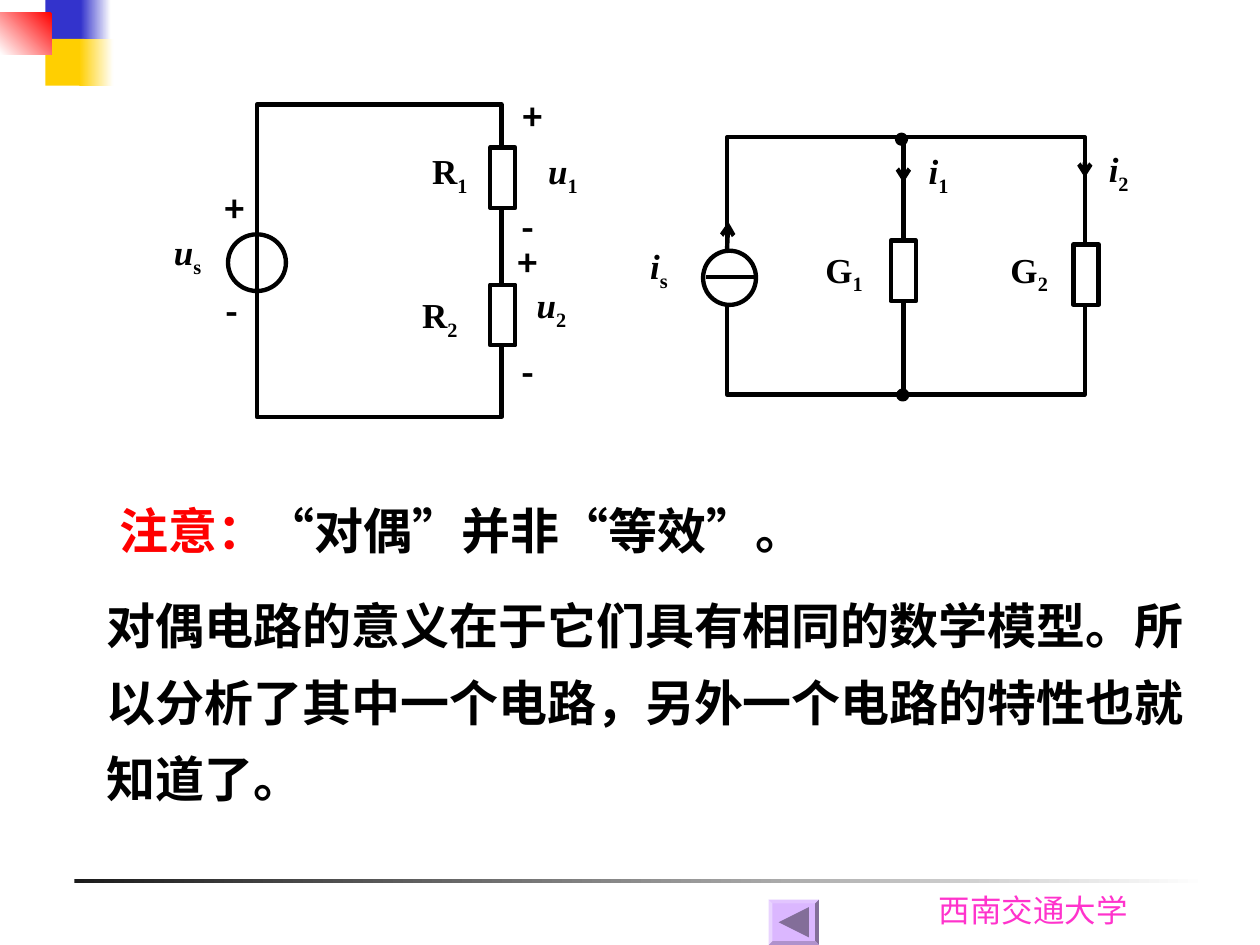
from lxml import etree
from pptx import Presentation
from pptx.dml.color import RGBColor
from pptx.enum.shapes import MSO_CONNECTOR, MSO_SHAPE
from pptx.enum.text import MSO_ANCHOR, MSO_AUTO_SIZE, PP_ALIGN
from pptx.oxml.ns import qn
from pptx.util import Inches, Pt

RECT, OVAL = MSO_SHAPE.RECTANGLE, MSO_SHAPE.OVAL
STRAIGHT = MSO_CONNECTOR.STRAIGHT
MIDDLE, TOP = MSO_ANCHOR.MIDDLE, MSO_ANCHOR.TOP
CENTER, LEFT = PP_ALIGN.CENTER, PP_ALIGN.LEFT
GROW = MSO_AUTO_SIZE.SHAPE_TO_FIT_TEXT

BLACK, WHITE, RED = "000000", "FFFFFF", "FF0000"
SANS, SERIF = "Noto Sans CJK SC", "Times New Roman"
WIRE = Pt(2.5)


def color(hex_value):
    return RGBColor.from_string(hex_value)


def paint(shape, fill=None, line=None):
    shape.shadow.inherit = False
    if fill:
        shape.fill.solid()
        shape.fill.fore_color.rgb = color(fill)
    else:
        shape.fill.background()
    if line:
        shape.line.color.rgb = color(line)
        shape.line.width = WIRE
    else:
        shape.line.fill.background()


def add_block(slide, box, fill=None, line=None, kind=RECT):
    block = slide.shapes.add_shape(kind, *map(Inches, box))
    paint(block, fill, line)
    return block


def add_fade(slide, box, start, angle=0):
    """Rectangle that fades from a colour to white."""
    fill = add_block(slide, box).fill
    fill.gradient()
    fill.gradient_angle = angle
    for stop, shade in zip(fill.gradient_stops, (start, WHITE)):
        stop.color.rgb = color(shade)


def add_wire(slide, x1, y1, x2, y2, arrow=False):
    wire = slide.shapes.add_connector(STRAIGHT, *map(Inches, (x1, y1, x2, y2)))
    wire.line.color.rgb = color(BLACK)
    wire.line.width = WIRE
    if arrow:
        etree.SubElement(wire.line._get_or_add_ln(), qn("a:tailEnd"), type="arrow")
    etree.SubElement(wire._element.spPr, qn("a:effectLst"))


def add_polygon(slide, points, fill):
    corners = [(Inches(x), Inches(y)) for x, y in points]
    builder = slide.shapes.build_freeform(*corners[0])
    builder.add_line_segments(corners[1:], close=True)
    paint(builder.convert_to_shape(), fill)


def add_text(slide, box, runs, size, font, bold=True, margins=(0, 0),
             anchor=TOP, align=LEFT, spacing=None, grow=False):
    """Runs are (text, colour) pairs in one paragraph; returns the runs."""
    frame = slide.shapes.add_textbox(*map(Inches, box)).text_frame
    frame.word_wrap = True
    frame.margin_left = frame.margin_right = Inches(margins[0])
    frame.margin_top = frame.margin_bottom = Inches(margins[1])
    frame.vertical_anchor = anchor
    if grow:
        frame.auto_size = GROW
    paragraph = frame.paragraphs[0]
    paragraph.alignment = align
    if spacing:
        paragraph.line_spacing = spacing
    paragraph.font.size = Pt(size)
    paragraph.font.bold = bold
    paragraph.font.name = font
    etree.SubElement(paragraph.font._element, qn("a:ea"), typeface=font)
    added = []
    for text, shade in runs:
        run = paragraph.add_run()
        run.text = text
        run.font.color.rgb = color(shade)
        added.append(run)
    return added


def add_body(slide, box, runs, **options):
    add_text(slide, box, runs, 28, SANS, margins=(0.1, 0.05),
             anchor=MIDDLE, grow=True, **options)


def add_sign(slide, x, y, sign):
    add_text(slide, (x, y, 0.33, 0.45), [(sign, BLACK)], 20, SANS)


def add_symbol(slide, x, y, letter, index):
    """Quantity with a subscript; variables (lower case) are italic."""
    name, subscript = add_text(slide, (x, y, 0.7, 0.54),
                               [(letter, BLACK), (index, BLACK)], 20, SERIF)
    name.font.italic = letter.islower()
    subscript.font._element.set("baseline", "-25000")


def add_resistor(slide, x, y):
    add_block(slide, (x, y, 0.2, 0.48), WHITE, BLACK)


def draw_template(slide):
    add_fade(slide, (0.59, 6.98, 9, 0.03), "1C1C1C")
    add_text(slide, (7.35, 7.02, 1.81, 0.4), [("西南交通大学", "FF33CC")], 18,
             "Lato", bold=False, margins=(0.1, 0.05), grow=True)
    # Corner ornament
    add_block(slide, (0.36, 0, 0.32, 0.37), "3333CC")
    add_fade(slide, (0.64, 0, 0.24, 0.37), "3333CC")
    add_block(slide, (0.36, 0.31, 0.31, 0.37), "FFCF01")
    add_fade(slide, (0.63, 0.31, 0.27, 0.37), "FFCF01")
    add_fade(slide, (0, 0.1, 0.41, 0.33), RED, angle=225)


def draw_series_circuit(slide):
    add_block(slide, (2.04, 0.83, 1.94, 2.48), line=BLACK)
    add_block(slide, (1.81, 1.86, 0.46, 0.45), line=BLACK, kind=OVAL)
    for y in (1.17, 2.26):
        add_resistor(slide, 3.89, y)
    for x, y, sign in ((1.78, 1.49, "+"), (1.79, 2.3, "-"),
                       (4.15, 0.76, "+"), (4.14, 1.63, "-"),
                       (4.11, 1.92, "+"), (4.14, 2.78, "-")):
        add_sign(slide, x, y, sign)
    for x, y, letter, index in ((1.38, 1.83, "u", "s"),
                                (4.35, 1.19, "u", "1"), (4.26, 2.25, "u", "2"),
                                (3.43, 1.19, "R", "1"), (3.35, 2.33, "R", "2")):
        add_symbol(slide, x, y, letter, index)


def draw_parallel_circuit(slide):
    add_block(slide, (5.77, 1.09, 2.84, 2.04), line=BLACK)
    add_wire(slide, 7.17, 1.09, 7.17, 3.14)
    # Junctions
    for x, y in ((7.12, 1.07), (7.13, 3.1)):
        add_block(slide, (x, y, 0.07, 0.07), BLACK, BLACK, OVAL)
    # Current source
    add_block(slide, (5.58, 1.99, 0.42, 0.43), WHITE, BLACK, OVAL)
    add_wire(slide, 5.6, 2.2, 6.02, 2.2)
    # Current directions
    add_wire(slide, 5.77, 1.99, 5.78, 1.76, arrow=True)
    add_wire(slide, 7.17, 1.41, 7.17, 1.45, arrow=True)
    add_wire(slide, 8.61, 1.35, 8.61, 1.41, arrow=True)
    # Conductances
    add_resistor(slide, 7.07, 1.91)
    add_resistor(slide, 8.52, 1.94)
    for x, y, letter, index in ((5.16, 1.94, "i", "s"),
                                (7.37, 1.19, "i", "1"), (8.8, 1.17, "i", "2"),
                                (6.55, 1.97, "G", "1"), (8.02, 1.97, "G", "2")):
        add_symbol(slide, x, y, letter, index)


def draw_back_button(slide):
    left, top, right, bottom, bevel = 6.1, 7.14, 6.5, 7.5, 0.03
    outer = [(left, top), (right, top), (right, bottom), (left, bottom)]
    inner = [(left + bevel, top + bevel), (right - bevel, top + bevel),
             (right - bevel, bottom - bevel), (left + bevel, bottom - bevel)]
    add_polygon(slide, outer, "DBB7FF")
    for i, shade in enumerate(("E2C5FF", "836E99", "AF92CC", "E9D4FF")):
        j = (i + 1) % 4
        add_polygon(slide, (outer[i], outer[j], inner[j], inner[i]), shade)
    add_polygon(slide, ((6.18, 7.32), (6.42, 7.2), (6.42, 7.44)), "836E99")


def main():
    prs = Presentation()
    prs.slide_width, prs.slide_height = Inches(10), Inches(7.5)
    slide = prs.slides.add_slide(prs.slide_layouts[6])
    draw_template(slide)
    draw_series_circuit(slide)
    draw_parallel_circuit(slide)
    # Remarks
    add_body(slide, (0.76, 3.92, 5.42, 0.57),
             [("注意：", RED), ("“对偶”并非“等效”。", BLACK)], align=CENTER)
    add_body(slide, (0.75, 4.54, 8.75, 1.92),
             [("对偶电路的意义在于它们具有相同的数学模型。所以分析了其中一个电路，"
               "另外一个电路的特性也就知道了。", BLACK)], spacing=1.3)
    draw_back_button(slide)
    prs.save("out.pptx")


if __name__ == "__main__":
    main()
